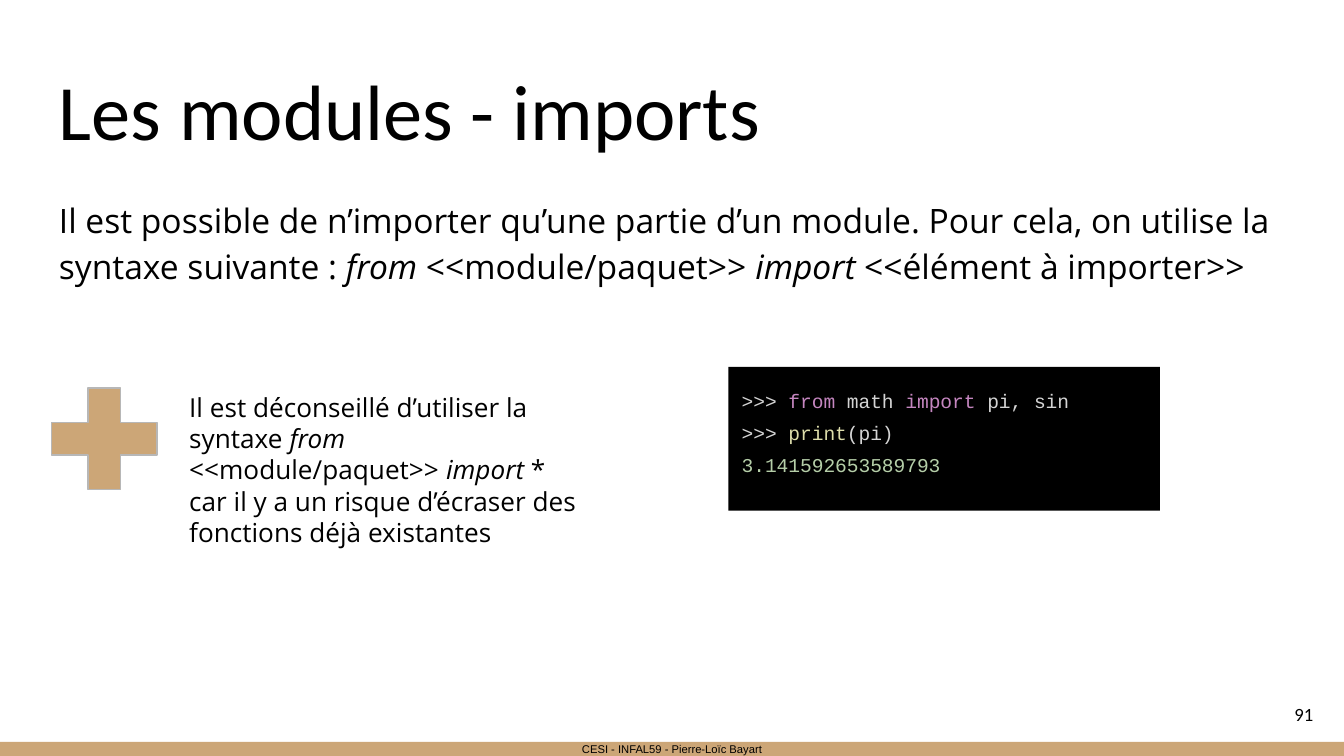
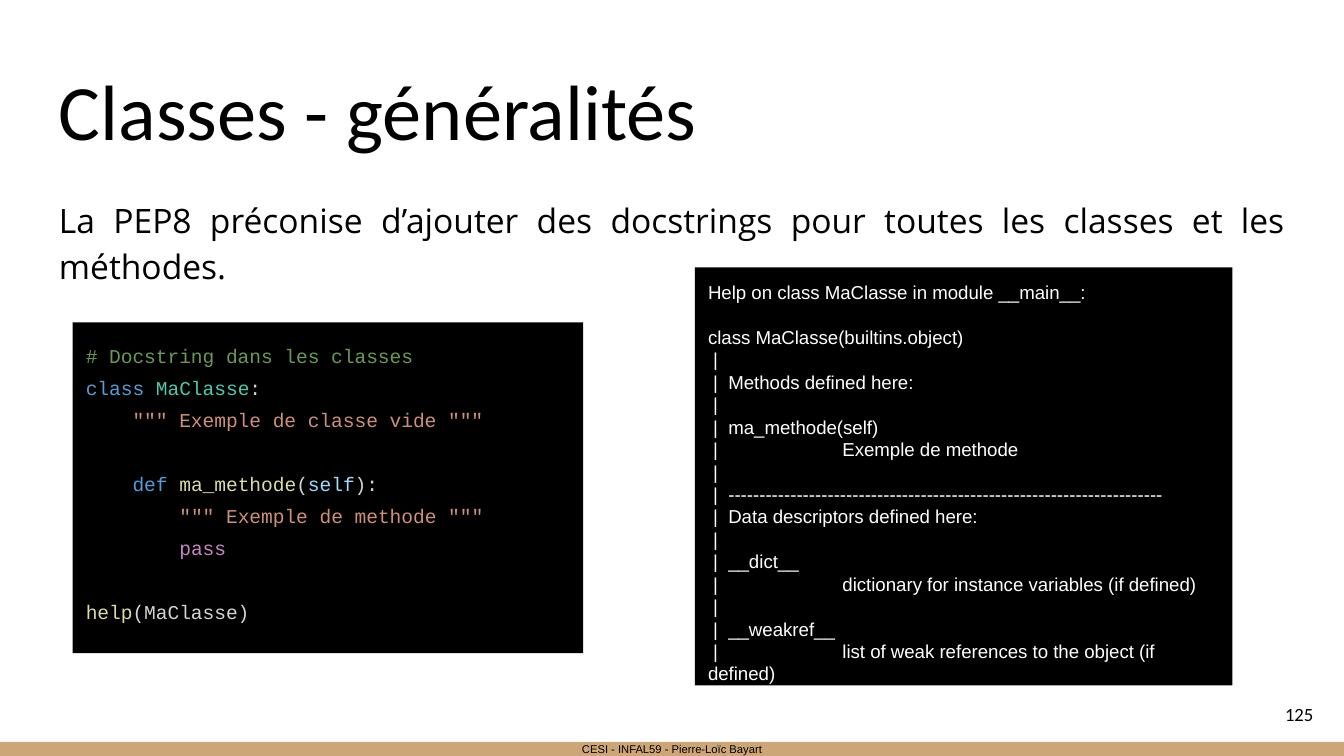
from lxml import etree
from pptx import Presentation
from pptx.dml.color import RGBColor
from pptx.enum import shapes, text
from pptx.oxml import ns
from pptx.util import Inches, Pt

BLACK = RGBColor(0x00, 0x00, 0x00)
WHITE = RGBColor(0xFF, 0xFF, 0xFF)
SAND = RGBColor(0xCC, 0xA6, 0x77)
OUTLINE = RGBColor(0xB7, 0xB7, 0xB7)
PLAIN = RGBColor(0xD4, 0xD4, 0xD4)
FLOW = RGBColor(0xC5, 0x86, 0xC0)
FUNCTION = RGBColor(0xDC, 0xDC, 0xAA)
NUMBER = RGBColor(0xB5, 0xCE, 0xA8)
REMARK = RGBColor(0x6A, 0x99, 0x55)
KEYWORD = RGBColor(0x56, 0x9C, 0xD6)
CLASS_NAME = RGBColor(0x4E, 0xC9, 0xB0)
STRING = RGBColor(0xCE, 0x91, 0x78)
PARAMETER = RGBColor(0x9C, 0xDC, 0xFE)

LEFT, CENTER, RIGHT, JUSTIFY = (
    text.PP_ALIGN.LEFT, text.PP_ALIGN.CENTER, text.PP_ALIGN.RIGHT, text.PP_ALIGN.JUSTIFY)
TOP, MIDDLE, BOTTOM = (
    text.MSO_ANCHOR.TOP, text.MSO_ANCHOR.MIDDLE, text.MSO_ANCHOR.BOTTOM)
CODE_SPACING = 1.36
BODY_SPACING = 1.15


def add_panel(slide, place, fill, preset=shapes.MSO_SHAPE.RECTANGLE):
    panel = slide.shapes.add_shape(preset, *map(Inches, place))
    panel.shadow.inherit = False
    panel.fill.solid()
    panel.fill.fore_color.rgb = fill
    panel.line.fill.background()
    return panel


def write(box, lines, font, size, align=LEFT, anchor=TOP, spacing=1.0):
    frame = box.text_frame
    frame.word_wrap = True
    frame.vertical_anchor = anchor
    frame.margin_left = frame.margin_right = Inches(0.1)
    frame.margin_top = frame.margin_bottom = Inches(0.1)
    for index, pieces in enumerate(lines):
        paragraph = frame.add_paragraph() if index else frame.paragraphs[0]
        paragraph.alignment = align
        paragraph.line_spacing = spacing
        if any("\t" in piece[0] for piece in pieces):
            tabs = etree.SubElement(paragraph._p.get_or_add_pPr(), ns.qn("a:tabLst"))
            etree.SubElement(tabs, ns.qn("a:tab"), pos=str(Inches(1)), algn="l")
        for content, colour, *italic in pieces:
            run = paragraph.add_run()
            run.text = content
            run.font.name = font
            run.font.size = Pt(size)
            run.font.color.rgb = colour
            run.font.italic = bool(italic)
        if not pieces:
            end = etree.SubElement(paragraph._p, ns.qn("a:endParaRPr"), sz=str(int(size * 100)))
            etree.SubElement(end, ns.qn("a:latin"), typeface=font)


deck = Presentation()
deck.slide_width = Inches(10)
deck.slide_height = Inches(10) * 9 // 16

pages = [
    ("Les modules - imports", "91", 3.67, LEFT, [
        ("Il est possible de n’importer qu’une partie d’un module. "
         "Pour cela, on utilise la syntaxe suivante : ", BLACK),
        ("from", BLACK, True),
        (" <<module/paquet>> ", BLACK),
        ("import", BLACK, True),
        (" <<élément à importer>>", BLACK),
    ]),
    ("Classes - généralités", "125", 0.83, JUSTIFY, [
        ("La PEP8 préconise d’ajouter des docstrings pour toutes les classes "
         "et les méthodes.", BLACK),
    ]),
]

for title, number, body_height, body_align, body in pages:
    slide = deck.slides.add_slide(deck.slide_layouts[6])
    footer = add_panel(slide, (0, 5.52, 10, 0.11), SAND)
    write(footer, [[("CESI - INFAL59 - Pierre-Loïc Bayart", BLACK)]], "Arial", 6, CENTER, MIDDLE)
    heading = slide.shapes.add_textbox(*map(Inches, (0.34, 0.35, 9.32, 0.91)))
    write(heading, [[(title, BLACK)]], "Calibri", 42, anchor=BOTTOM)
    intro = slide.shapes.add_textbox(*map(Inches, (0.34, 1.34, 9.32, body_height)))
    write(intro, [body], "Open Sans", 18, body_align, spacing=BODY_SPACING)
    page_number = slide.shapes.add_textbox(*map(Inches, (9.27, 5.1, 0.6, 0.43)))
    write(page_number, [[(number, BLACK)]], "Calibri", 10, RIGHT, MIDDLE)

imports_slide, classes_slide = deck.slides

plus = add_panel(imports_slide, (0.24, 2.75, 1.07, 1.03), SAND, shapes.MSO_SHAPE.MATH_PLUS)
plus.adjustments[0] = 0.235
plus.line.color.rgb = OUTLINE
plus.line.width = Pt(0.75)

advice = imports_slide.shapes.add_textbox(*map(Inches, (1.31, 2.81, 3.17, 1.47)))
write(advice, [[
    ("Il est déconseillé d’utiliser la syntaxe ", BLACK),
    ("from", BLACK, True),
    (" <<module/paquet>> ", BLACK),
    ("import", BLACK, True),
    (" * car il y a un risque d’écraser des fonctions déjà existantes", BLACK),
]], "Open Sans", 14)

import_code = add_panel(imports_slide, (5.42, 2.73, 3.21, 1.07), BLACK)
write(import_code, [
    [(">>> ", PLAIN), ("from", FLOW), (" math ", PLAIN), ("import", FLOW), (" pi, sin", PLAIN)],
    [(">>> ", PLAIN), ("print", FUNCTION), ("(pi)", PLAIN)],
    [("3.141592653589793", NUMBER)],
], "Courier New", 10.5, spacing=CODE_SPACING)

help_lines = [
    "Help on class MaClasse in module __main__:",
    "",
    "class MaClasse(builtins.object)",
    " |",
    " |  Methods defined here:",
    " |",
    " |  ma_methode(self)",
    " |  \tExemple de methode",
    " |",
    " |  " + "-" * 70,
    " |  Data descriptors defined here:",
    " |",
    " |  __dict__",
    " |  \tdictionary for instance variables (if defined)",
    " |",
    " |  __weakref__",
    " |  \tlist of weak references to the object (if defined)",
]
help_output = add_panel(classes_slide, (5.17, 1.99, 4, 3.11), BLACK)
write(help_output, [[(line, WHITE)] if line else [] for line in help_lines], "Arial", 10)

class_code = add_panel(classes_slide, (0.54, 2.4, 3.8, 2.46), BLACK)
write(class_code, [
    [("# Docstring dans les classes", REMARK)],
    [("class ", KEYWORD), ("MaClasse", CLASS_NAME), (":", PLAIN)],
    [("    ", PLAIN), ('""" Exemple de classe vide """', STRING)],
    [("    ", PLAIN)],
    [("    ", PLAIN), ("def ", KEYWORD), ("ma_methode", FUNCTION), ("(", PLAIN),
     ("self", PARAMETER), ("):", PLAIN)],
    [("        ", PLAIN), ('""" Exemple de methode """', STRING)],
    [("        ", PLAIN), ("pass", FLOW)],
    [],
    [("help", FUNCTION), ("(MaClasse)", PLAIN)],
], "Courier New", 10.5, spacing=CODE_SPACING)

deck.save("out.pptx")
